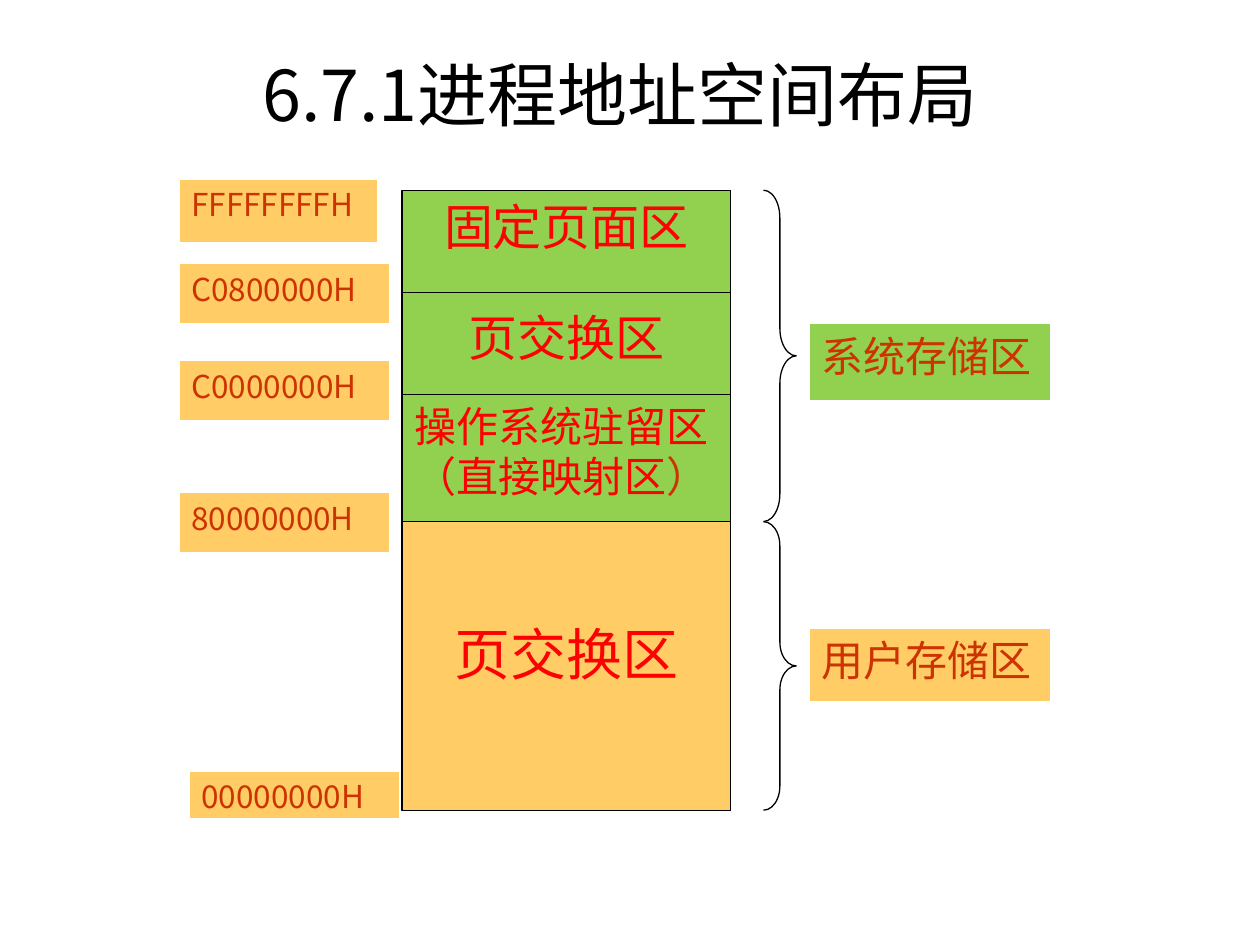
from pptx import Presentation
from pptx.dml.color import RGBColor
from pptx.enum import shapes, text
from pptx.util import Inches, Pt

THEME = {
    "font": "Noto Sans CJK JP",
    "system": "92D050", "user": "FFCC66",
    "black": "000000", "white": "FFFFFF", "red": "FF0000", "rust": "CC3300",
    "title": 40, "user_region": 32, "region": 28, "body": 24, "address": 18,
    "line": 0.75,
}
LEFT, CENTER = text.PP_ALIGN.LEFT, text.PP_ALIGN.CENTER
TOP, MIDDLE = text.MSO_ANCHOR.TOP, text.MSO_ANCHOR.MIDDLE

TITLE = "6.7.1进程地址空间布局"
REGION_LEFT, REGION_WIDTH = 3.19, 2.61
# top, bottom, fill, size, alignment, anchor, bottom inset, lines of (words, colour)
REGIONS = [
    (1.51, 2.32, "system", "region", CENTER, TOP, 0.05, [[("固定页面区", "red")]]),
    (2.32, 3.13, "system", "region", CENTER, MIDDLE, 0.15, [[("页交换区", "red")]]),
    (3.13, 4.14, "system", "body", LEFT, TOP, 0.05,
     [[("操作系统驻留区", "red")], [("（直接映射区", "red"), ("）", "rust")]]),
    (4.14, 6.43, "user", "user_region", CENTER, MIDDLE, 0.25, [[("页交换区", "red")]]),
]
BRACE_LEFT, BRACE_WIDTH = 6.06, 0.26
BRACES = [(1.51, 4.14), (4.14, 6.43)]
# words, fill, size, (left, top, width, height)
LABELS = [
    ("系统存储区", "system", "body", (6.42, 2.57, 1.92, 0.61)),
    ("用户存储区", "user", "body", (6.42, 4.99, 1.92, 0.58)),
    ("FFFFFFFFH", "user", "address", (1.42, 1.42, 1.58, 0.51)),
    ("C0800000H", "user", "address", (1.42, 2.09, 1.67, 0.48)),
    ("C0000000H", "user", "address", (1.42, 2.86, 1.67, 0.48)),
    ("80000000H", "user", "address", (1.42, 3.91, 1.67, 0.48)),
    ("00000000H", "user", "address", (1.5, 6.12, 1.67, 0.38)),
]


def color(name):
    return RGBColor.from_string(THEME[name])


def set_attributes(target, values):
    for name, value in values.items():
        setattr(target, name, value)


def write(shape, lines, size, alignment, anchor, bottom_inset=0.05):
    frame = shape.text_frame
    set_attributes(frame, {
        "word_wrap": True, "auto_size": text.MSO_AUTO_SIZE.NONE,
        "vertical_anchor": anchor,
        "margin_left": Inches(0.1), "margin_right": Inches(0.1),
        "margin_top": Inches(0.05), "margin_bottom": Inches(bottom_inset),
    })
    for index, line in enumerate(lines):
        paragraph = frame.paragraphs[0] if index == 0 else frame.add_paragraph()
        paragraph.alignment = alignment
        for words, tint in line:
            run = paragraph.add_run()
            run.text = words
            set_attributes(run.font, {"name": THEME["font"], "size": Pt(THEME[size])})
            run.font.color.rgb = color(tint)
            properties = run.font._element
            east_asian = properties.makeelement(
                properties.tag.replace("rPr", "ea"), {"typeface": THEME["font"]})
            properties.append(east_asian)


def add_outline(slide, kind, box, line, fill=None):
    shape = slide.shapes.add_shape(kind, *map(Inches, box))
    shape.shadow.inherit = False
    shape.line.color.rgb = color(line)
    shape.line.width = Pt(THEME["line"])
    if fill:
        shape.fill.solid()
        shape.fill.fore_color.rgb = color(fill)
    else:
        shape.fill.background()
    return shape


def main():
    presentation = Presentation()
    presentation.slide_width, presentation.slide_height = Inches(10), Inches(7.5)
    slide = presentation.slides.add_slide(presentation.slide_layouts[5])

    title = slide.shapes.title
    set_attributes(title, {"left": Inches(0.67), "top": Inches(0.44),
                           "width": Inches(8.5), "height": Inches(1.25)})
    write(title, [[(TITLE, "black")]], "title", CENTER, MIDDLE, 0.7)

    rectangle = shapes.MSO_SHAPE.RECTANGLE
    for top, bottom, fill, size, alignment, anchor, inset, lines in REGIONS:
        box = (REGION_LEFT, top, REGION_WIDTH, bottom - top)
        region = add_outline(slide, rectangle, box, "black", fill)
        write(region, lines, size, alignment, anchor, inset)

    for top, bottom in BRACES:
        height = bottom - top
        box = (BRACE_LEFT, top, BRACE_WIDTH, height)
        brace = add_outline(slide, shapes.MSO_SHAPE.RIGHT_BRACE, box, "black")
        brace.adjustments[0] = height / 12 / BRACE_WIDTH

    for words, fill, size, box in LABELS:
        label = add_outline(slide, rectangle, box, "white", fill)
        write(label, [[(words, "rust")]], size, LEFT, TOP)

    presentation.save("out.pptx")


if __name__ == "__main__":
    main()
